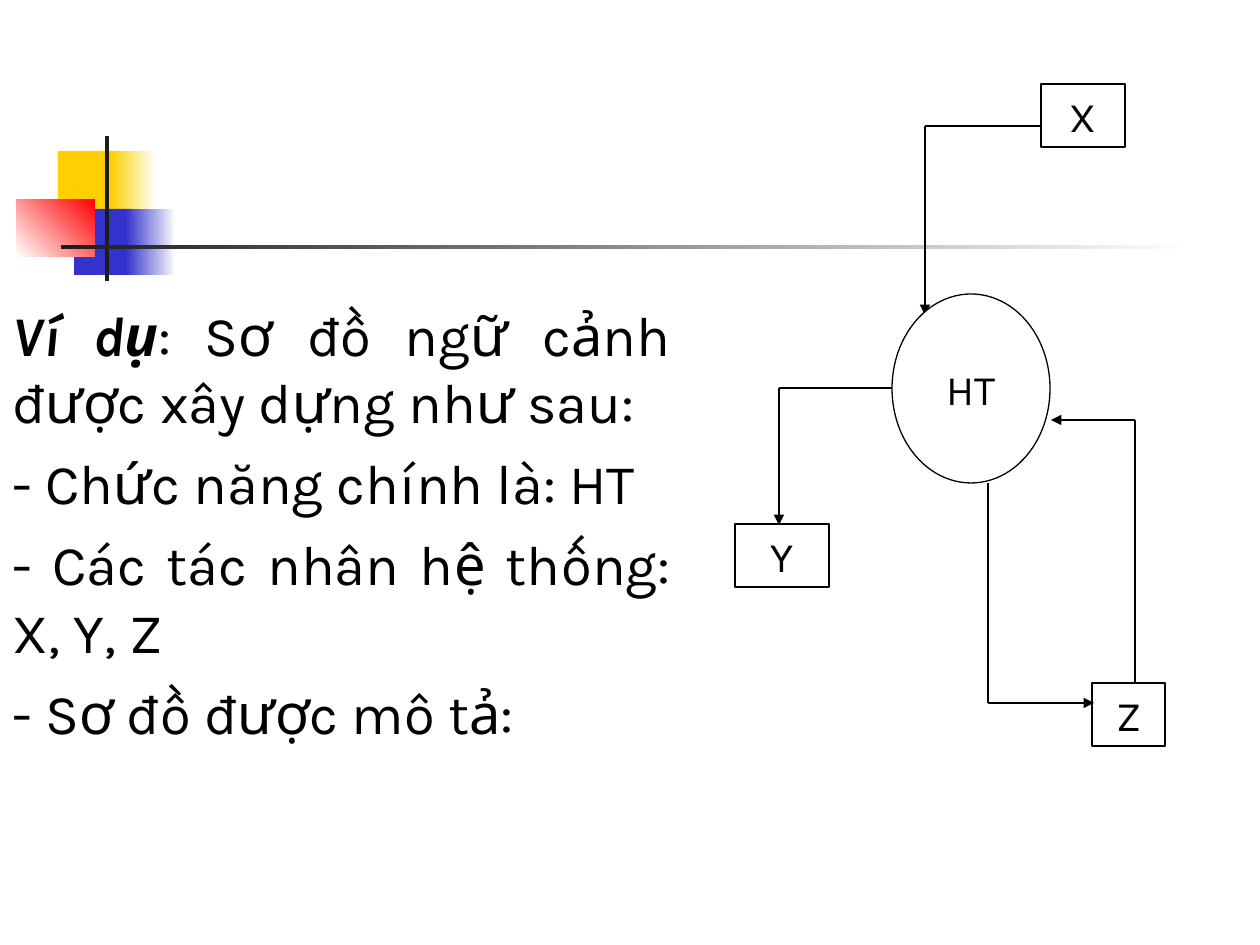
from itertools import pairwise

from lxml.etree import SubElement
from pptx import Presentation
from pptx.dml.color import RGBColor
from pptx.enum.shapes import MSO_CONNECTOR, MSO_SHAPE as SHAPE
from pptx.enum.text import MSO_ANCHOR as ANCHOR, MSO_AUTO_SIZE as AUTO_SIZE, PP_ALIGN as ALIGN
from pptx.oxml.ns import qn
from pptx.util import Pt

EMU_PER_PX = 914400 / 126

BLACK = RGBColor(0x00, 0x00, 0x00)
WHITE = RGBColor(0xFF, 0xFF, 0xFF)
YELLOW = RGBColor(0xFF, 0xCF, 0x01)
BLUE = RGBColor(0x33, 0x33, 0xCC)
RED = RGBColor(0xFF, 0x00, 0x00)
CHARCOAL = RGBColor(0x1C, 0x1C, 0x1C)


def px(length):
    return round(length * EMU_PER_PX)


def apply(target, values):
    for name, value in values.items():
        setattr(target, name, value)


class SlideBuilder:
    body_font = {"name": "Karla", "size": Pt(32)}
    node_font = {"name": "Karla", "size": Pt(24)}
    line_width = Pt(0.75)

    def __init__(self, slide):
        self.slide = slide

    def text_run(self, paragraph, text, font, **extra):
        run = paragraph.add_run()
        run.text = text
        apply(run.font, {**font, **extra})
        run.font.color.rgb = BLACK

    def shape(self, kind, box):
        shape = self.slide.shapes.add_shape(kind, *map(px, box))
        shape.shadow.inherit = False
        return shape

    def block(self, box, color, end_color=None, angle=0):
        block = self.shape(SHAPE.RECTANGLE, box)
        block.line.fill.background()
        if end_color is None:
            block.fill.solid()
            block.fill.fore_color.rgb = color
            return
        block.fill.gradient()
        block.fill.gradient_angle = angle
        stops = block.fill.gradient_stops
        for stop, position, stop_color in zip(stops, (0, 1), (color, end_color)):
            stop.position = position
            stop.color.rgb = stop_color

    def body(self, box, paragraphs):
        body = self.slide.placeholders[1]
        apply(body, dict(zip(("left", "top", "width", "height"), map(px, box))))
        frame = body.text_frame
        apply(frame, {"word_wrap": True, "auto_size": AUTO_SIZE.NONE,
                      "vertical_anchor": ANCHOR.TOP})
        for index, runs in enumerate(paragraphs):
            paragraph = frame.add_paragraph() if index else frame.paragraphs[0]
            properties = paragraph._p.get_or_add_pPr()
            properties.set("marL", "0")
            properties.set("indent", "0")
            SubElement(properties, qn("a:buNone"))
            apply(paragraph, {"alignment": ALIGN.JUSTIFY,
                              "space_before": Pt(8 if index else 0)})
            for text, emphasis in runs:
                self.text_run(paragraph, text, self.body_font, bold=emphasis, italic=emphasis)

    def node(self, kind, box, label, fill=None, anchor=ANCHOR.TOP, wrap=True):
        node = self.shape(kind, box)
        if fill is None:
            node.fill.background()
        else:
            node.fill.solid()
            node.fill.fore_color.rgb = fill
        node.line.color.rgb = BLACK
        node.line.width = self.line_width
        apply(node.text_frame, {"word_wrap": wrap, "vertical_anchor": anchor})
        paragraph = node.text_frame.paragraphs[0]
        paragraph.alignment = ALIGN.CENTER
        self.text_run(paragraph, label, self.node_font)

    def flow(self, points):
        for start, end in pairwise(points):
            connector = self.slide.shapes.add_connector(
                MSO_CONNECTOR.STRAIGHT, *map(px, (*start, *end)))
            connector.line.color.rgb = BLACK
            connector.line.width = self.line_width
            SubElement(connector._element.spPr, qn("a:effectLst"))
        SubElement(connector.line._get_or_add_ln(), qn("a:tailEnd"), type="triangle")


def main():
    deck = Presentation()
    deck.slide_width, deck.slide_height = px(1260), px(945)
    slide = deck.slides.add_slide(deck.slide_layouts[1])
    title = slide.shapes.title._element
    title.getparent().remove(title)
    builder = SlideBuilder(slide)

    builder.block((58, 151, 60, 66), YELLOW)
    builder.block((111, 151, 45, 66), YELLOW, WHITE)
    builder.block((74, 209, 58, 66), BLUE)
    builder.block((126, 209, 50, 66), BLUE, WHITE)
    builder.block((17, 199, 78, 58), WHITE, RED, 45)
    builder.block((105, 136, 4, 145), CHARCOAL)
    builder.block((61, 245, 1134, 4), CHARCOAL, WHITE)

    builder.body((0, 294, 683, 609), [
        [("Ví dụ", True), (": Sơ đồ ngữ cảnh được xây dựng như sau:", False)],
        [("- Chức năng chính là: HT", False)],
        [("- Các tác nhân hệ thống: X, Y, Z", False)],
        [("- Sơ đồ được mô tả:", False)],
    ])

    for route in (
        [(1041, 126), (925, 126), (925, 315)],
        [(1135, 683), (1135, 420), (1051, 420)],
        [(988, 483), (988, 703), (1094, 703)],
        [(893, 388), (779, 388), (779, 525)],
    ):
        builder.flow(route)

    for label, left, top, width in (("X", 1041, 84, 84), ("Y", 735, 524, 94), ("Z", 1092, 683, 73)):
        builder.node(SHAPE.RECTANGLE, (left, top, width, 63), label)
    builder.node(SHAPE.OVAL, (892, 294, 158, 189), "HT", WHITE, ANCHOR.MIDDLE, False)

    deck.save("out.pptx")


if __name__ == "__main__":
    main()
